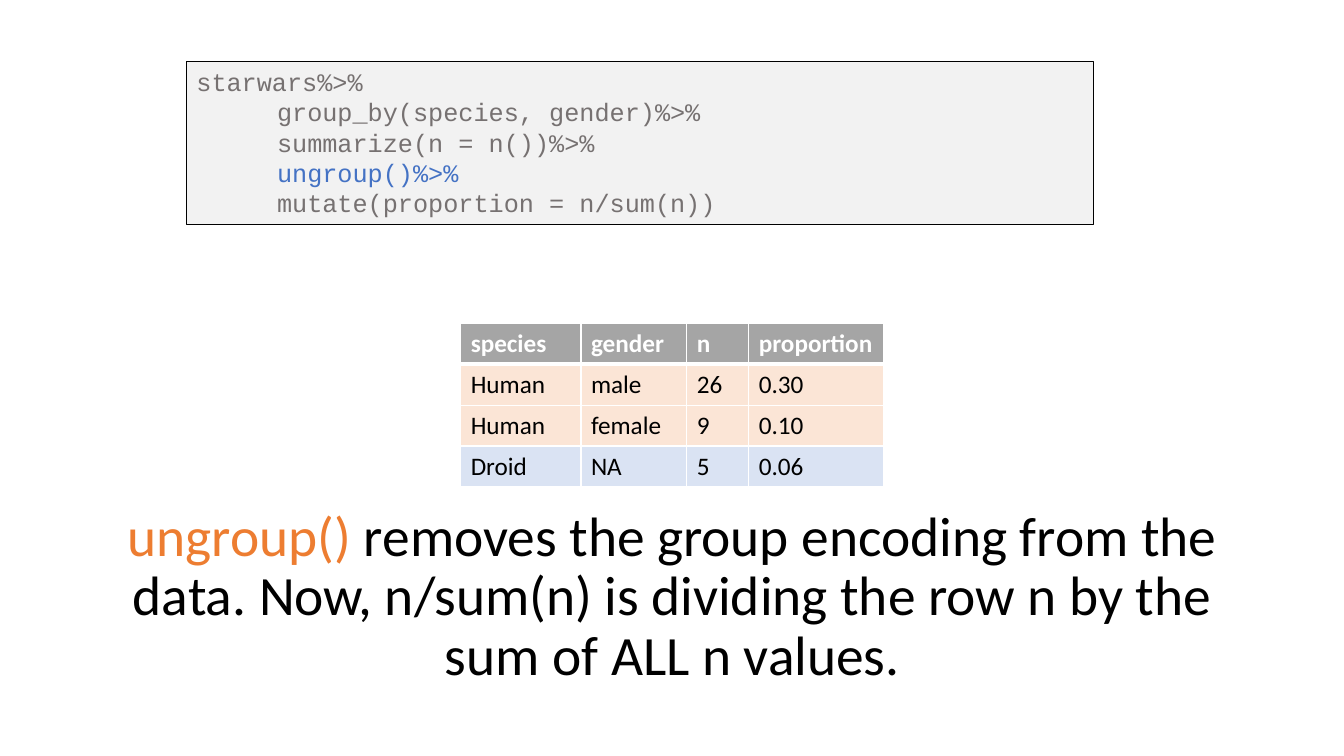
from pptx import Presentation
from pptx.dml.color import RGBColor
from pptx.enum.shapes import MSO_SHAPE
from pptx.enum.text import MSO_ANCHOR, PP_ALIGN
from pptx.oxml import parse_xml
from pptx.oxml.ns import nsdecls
from pptx.util import Cm, Pt

BLACK = RGBColor(0x00, 0x00, 0x00)
WHITE = RGBColor(0xFF, 0xFF, 0xFF)
PALE_GRAY = RGBColor(0xF2, 0xF2, 0xF2)
HEADER_GRAY = RGBColor(0xA5, 0xA5, 0xA5)
CODE_GRAY = RGBColor(0x76, 0x71, 0x71)
BLUE = RGBColor(0x44, 0x72, 0xC4)
ORANGE = RGBColor(0xED, 0x7D, 0x31)
HUMAN_FILL = RGBColor(0xFB, 0xE5, 0xD6)
DROID_FILL = RGBColor(0xDA, 0xE3, 0xF3)


def add_run(p, text, size, color, name="Calibri", bold=False):
    r = p.add_run()
    r.text = text
    r.font.size = Pt(size)
    r.font.name = name
    r.font.bold = bold
    r.font.color.rgb = color


def add_border(cell, side, width):
    """Draw a white line on one side (L, R, T or B); call before the cell is filled."""
    cell._tc.get_or_add_tcPr().append(parse_xml(
        f'<a:ln{side} {nsdecls("a")} w="{Pt(width)}"><a:solidFill>'
        f'<a:srgbClr val="{WHITE}"/></a:solidFill></a:ln{side}>'))


prs = Presentation()
prs.slide_width = Cm(33.87)
prs.slide_height = Cm(19.05)
s = prs.slides.add_slide(prs.slide_layouts[6])

# Summary table
rows = [
    (HEADER_GRAY, ["species", "gender", "n", "proportion"]),
    (HUMAN_FILL, ["Human", "male", "26", "0.30"]),
    (HUMAN_FILL, ["Human", "female", "9", "0.10"]),
    (DROID_FILL, ["Droid", "NA", "5", "0.06"]),
]
col_widths = [3.03, 2.67, 1.56, 3.4]
row_height = 1.03
table = s.shapes.add_table(len(rows), len(col_widths), Cm(11.61), Cm(8.15),
                           Cm(sum(col_widths)), Cm(row_height * len(rows))).table
table.horz_banding = False
for col, width in zip(table.columns, col_widths):
    col.width = Cm(width)
for i, (fill, values) in enumerate(rows):
    header = i == 0
    for j, value in enumerate(values):
        cell = table.cell(i, j)
        for side in "LRTB":
            thick = (header and side == "B") or (i == 1 and side == "T")
            add_border(cell, side, 3 if thick else 1)
        cell.fill.solid()
        cell.fill.fore_color.rgb = fill
        add_run(cell.text_frame.paragraphs[0], value, 18,
                WHITE if header else BLACK, bold=header)

# Code box
code = s.shapes.add_shape(MSO_SHAPE.RECTANGLE, Cm(4.7), Cm(1.55), Cm(22.86), Cm(4.11))
code.shadow.inherit = False
code.fill.solid()
code.fill.fore_color.rgb = PALE_GRAY
code.line.color.rgb = BLACK
code.line.width = Pt(0.75)
tf = code.text_frame
tf.word_wrap = True
tf.vertical_anchor = MSO_ANCHOR.TOP
code_lines = [
    ("starwars%>%", CODE_GRAY),
    ("\t  group_by(species, gender)%>%", CODE_GRAY),
    ("\t  summarize(n = n())%>%", CODE_GRAY),
    ("\t  ungroup()%>%", BLUE),
    ("\t  mutate(proportion = n/sum(n))", CODE_GRAY),
]
for i, (line, color) in enumerate(code_lines):
    p = tf.add_paragraph() if i else tf.paragraphs[0]
    p.alignment = PP_ALIGN.LEFT
    add_run(p, line, 18, color, name="Courier New")

# Explanation
explanation = s.shapes.add_textbox(Cm(2.44), Cm(14.17), Cm(29.01), Cm(1.8))
tf = explanation.text_frame
tf.word_wrap = True
tf.vertical_anchor = MSO_ANCHOR.MIDDLE
p = tf.paragraphs[0]
p.alignment = PP_ALIGN.CENTER
p.line_spacing = 0.9
add_run(p, "ungroup() ", 39.6, ORANGE)
add_run(p, "removes the group encoding from the data. Now, n/sum(n) is dividing "
           "the row n by the sum of ALL n values.", 39.6, BLACK)

prs.save("out.pptx")
